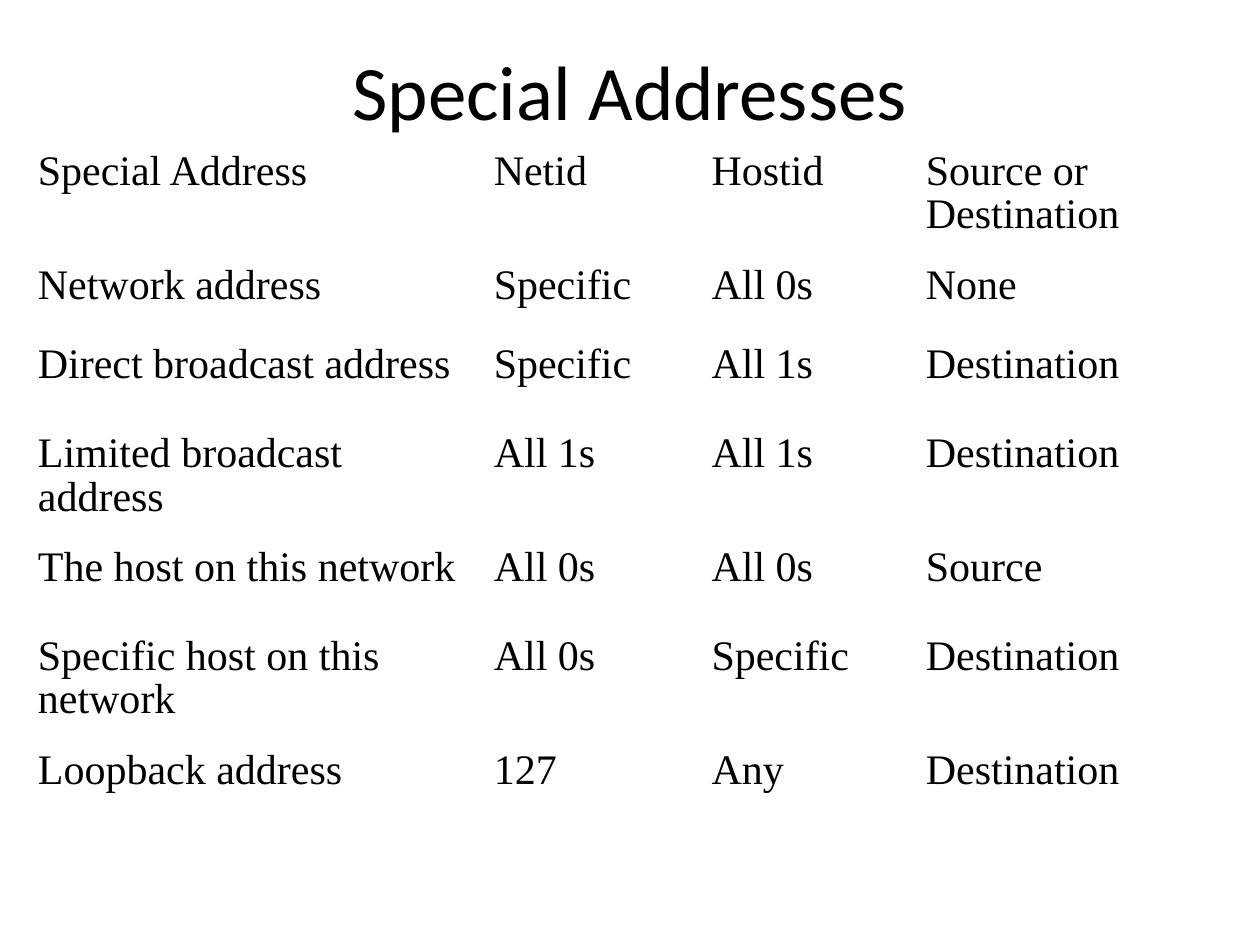
"""Build the slide listing the special IP addresses."""
from dataclasses import astuple, dataclass

from pptx import Presentation
from pptx.dml.color import RGBColor
from pptx.enum.text import MSO_ANCHOR as Anchor, PP_ALIGN as Align
from pptx.slide import Slide
from pptx.text.text import _Paragraph as Paragraph
from pptx.util import Cm, Pt

COLORS = {"text": "000000"}
COLUMN_WIDTHS = (9.19, 4.39, 4.32, 5.72)


@dataclass(frozen=True)
class AddressKind:
    name: str
    netid: str
    hostid: str
    role: str


HEADER = AddressKind("Special Address", "Netid", "Hostid", "Source or Destination")
ADDRESS_KINDS = (
    AddressKind("Network address", "Specific", "All 0s", "None"),
    AddressKind("Direct broadcast address", "Specific", "All 1s", "Destination"),
    AddressKind("Limited broadcast address", "All 1s", "All 1s", "Destination"),
    AddressKind("The host on this network", "All 0s", "All 0s", "Source"),
    AddressKind("Specific host on this network", "All 0s", "Specific", "Destination"),
    AddressKind("Loopback address", "127", "Any", "Destination"),
)
ROW_HEIGHTS = (2.29, 1.6, 1.8, 2.29, 1.8, 2.29, 1.8)


def style_paragraph(para: Paragraph, font_name: str, size: float) -> None:
    para.font.name = font_name
    para.font.size = Pt(size)
    para.font.color.rgb = RGBColor.from_string(COLORS["text"])


def add_title(page: Slide, text: str) -> None:
    title = page.shapes.title
    title.left, title.top, title.width, title.height = Cm(1.27), Cm(0.76), Cm(22.86), Cm(3.18)
    title.text_frame.text = text
    title.text_frame.vertical_anchor = Anchor.TOP
    para = title.text_frame.paragraphs[0]
    para.alignment = Align.CENTER
    style_paragraph(para, "Calibri", 44)


def add_address_table(page: Slide, kinds: tuple[AddressKind, ...]) -> None:
    table = page.shapes.add_table(
        len(kinds), len(COLUMN_WIDTHS), Cm(0.51), Cm(2.92),
        Cm(sum(COLUMN_WIDTHS)), Cm(sum(ROW_HEIGHTS)),
    ).table
    table.first_row = table.horz_banding = False
    for column, width in zip(table.columns, COLUMN_WIDTHS):
        column.width = Cm(width)
    for row, height, kind in zip(table.rows, ROW_HEIGHTS, kinds):
        row.height = Cm(height)
        for cell, text in zip(row.cells, astuple(kind)):
            cell.text = text
            cell.fill.background()
            para = cell.text_frame.paragraphs[0]
            para.line_spacing = 0.93
            style_paragraph(para, "Times New Roman", 24)


def main() -> None:
    deck = Presentation()
    deck.slide_width, deck.slide_height = Cm(25.4), Cm(19.05)
    page = deck.slides.add_slide(deck.slide_layouts.get_by_name("Title Only"))
    add_title(page, "Special Addresses")
    add_address_table(page, (HEADER, *ADDRESS_KINDS))
    deck.save("out.pptx")


if __name__ == "__main__":
    main()
